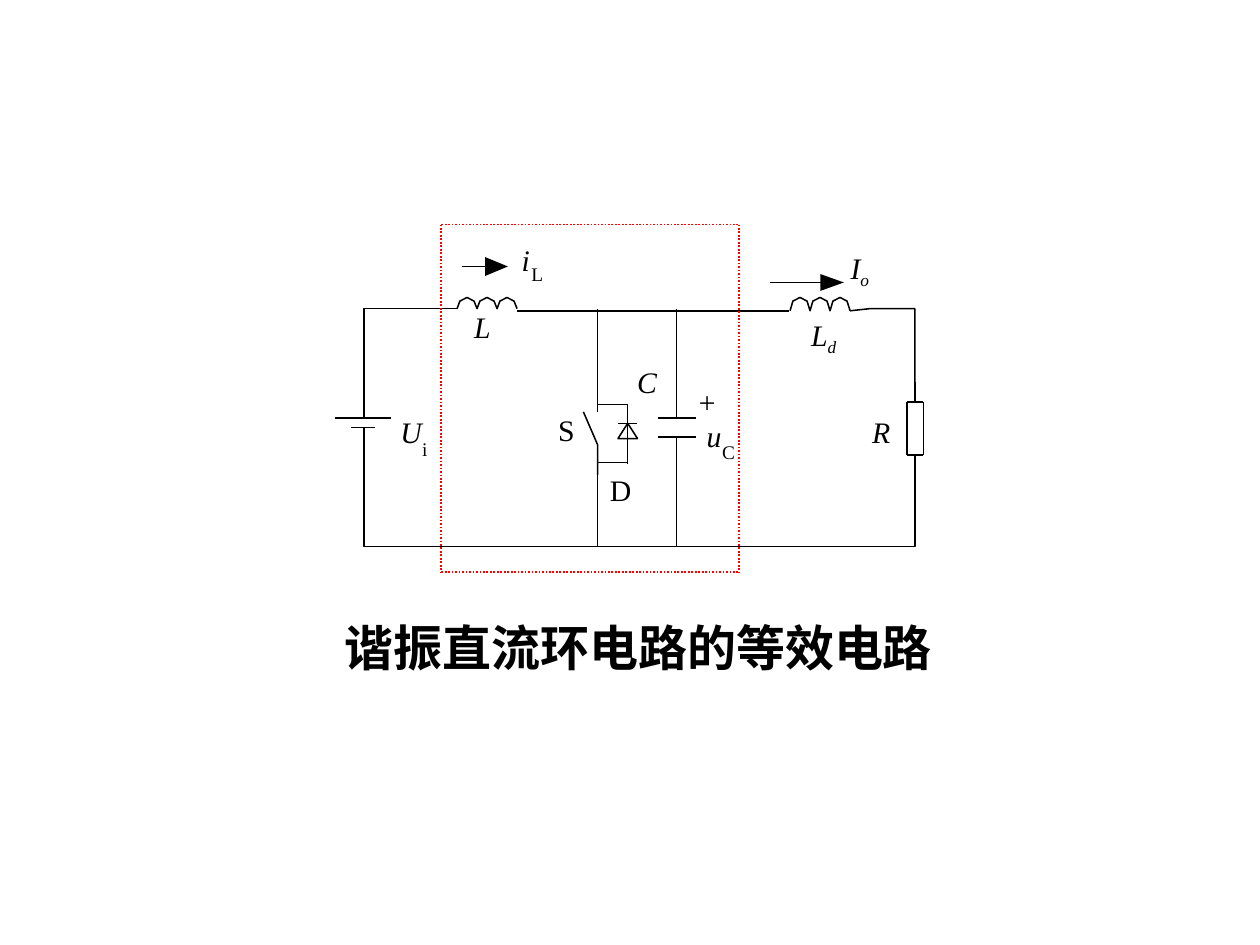
from pptx import Presentation
from pptx.dml.color import RGBColor
from pptx.enum.dml import MSO_LINE
from pptx.enum.shapes import MSO_CONNECTOR as CONN
from pptx.enum.text import MSO_ANCHOR as ANCHOR, MSO_AUTO_SIZE as AUTO, PP_ALIGN as ALIGN
from pptx.util import Pt
from lxml.etree import SubElement
from pptx.oxml.ns import qn

BLACK = RGBColor(0, 0, 0)
WHITE = RGBColor(255, 255, 255)
RED = RGBColor(255, 0, 0)
LINE_W = 0.88
SERIF = "Times New Roman"

# Circuit grid, in points
X_SOURCE, X_SWITCH, X_DIODE, X_CAP, X_LOAD = 208, 341.5, 358.7, 386.7, 522.8
Y_TOP, Y_BUS, Y_BOTTOM = 176.4, 177.6, 312.2
Y_ON, Y_OFF = 231.2, 264.2          # ends of the switch and diode branch
Y_PLATE, Y_CELL, Y_CAP = 239, 244.3, 249.7
COIL_W = 34.3
X_L, X_LD = 261.2, 451.5            # left ends of the two coils


def add_line(s, x1, y1, x2, y2, color=BLACK, width=LINE_W, dash=None):
    sp = s.shapes.add_connector(CONN.STRAIGHT, Pt(x1), Pt(y1), Pt(x2), Pt(y2))
    sp.line.color.rgb = color
    sp.line.width = Pt(width)
    if dash:
        sp.line.dash_style = dash
    SubElement(sp._element.spPr, qn("a:effectLst"))


def add_frame(s, left, top, right, bottom, **fmt):
    for y in (top, bottom):
        add_line(s, left, y, right, y, **fmt)
    for x in (left, right):
        add_line(s, x, top, x, bottom, **fmt)


def add_path(s, points, close=False, fill=None, line=BLACK):
    pts = [(Pt(x), Pt(y)) for x, y in points]
    builder = s.shapes.build_freeform(*pts[0])
    builder.add_line_segments(pts[1:], close=close)
    sp = builder.convert_to_shape()
    sp.shadow.inherit = False
    if fill is None:
        sp.fill.background()
    else:
        sp.fill.solid()
        sp.fill.fore_color.rgb = fill
    if line is None:
        sp.line.fill.background()
    else:
        sp.line.color.rgb = line
        sp.line.width = Pt(LINE_W)


def add_coil(s, x, base, top=170):
    turn = COIL_W / 3
    points = [(x, base)]
    for i in range(3):
        left = x + i * turn
        points += [(left + 1.6, 172.1), (left + 5.7, top),
                   (left + 9.7, 172.1), (left + turn, base)]
    add_path(s, points)


def add_arrow(s, x1, x2, y, head_w, head_h):
    base = x2 - head_w
    add_line(s, x1, y, base + 1, y)
    add_path(s, [(base, y - head_h / 2), (x2, y), (base, y + head_h / 2)],
             close=True, fill=BLACK, line=None)


def add_run(p, text, size=17, font=SERIF, bold=False, italic=False, baseline=None):
    r = p.add_run()
    r.text = text
    r.font.size, r.font.name = Pt(size), font
    r.font.bold, r.font.italic = bold, italic
    r.font.color.rgb = BLACK
    if baseline:
        r._r.get_or_add_rPr().set("baseline", str(baseline))


def add_label(s, text, x, y, w, sub=None, size=17, italic=False):
    h = 23 if sub else size * 1.19
    tf = s.shapes.add_textbox(Pt(x), Pt(y), Pt(w), Pt(h)).text_frame
    tf.margin_left = tf.margin_right = tf.margin_top = tf.margin_bottom = 0
    tf.word_wrap = False
    tf.auto_size = AUTO.SHAPE_TO_FIT_TEXT
    p = tf.paragraphs[0]
    add_run(p, text, size=size, italic=italic)
    if sub:
        add_run(p, sub, size=size, italic=italic, baseline=-25000)


def add_caption(s, text):
    sp = s.shapes.title
    sp.left, sp.top, sp.width, sp.height = Pt(189.8), Pt(349.2), Pt(368.6), Pt(41)
    tf = sp.text_frame
    tf.word_wrap = True
    tf.auto_size = AUTO.NONE
    tf.vertical_anchor = ANCHOR.TOP
    p = tf.paragraphs[0]
    p.alignment = ALIGN.LEFT
    add_run(p, text, size=28, font="Arial", bold=True)


def draw_wires(s):
    # Corners of the loop
    add_path(s, [(X_SOURCE, 203.8), (X_SOURCE, Y_TOP), (238.6, Y_TOP)])
    add_path(s, [(X_LD + COIL_W, Y_BUS), (496.8, Y_TOP),
                 (X_LOAD, Y_TOP), (X_LOAD, 218.2)])
    add_path(s, [(X_LOAD, 271.4), (X_LOAD, Y_BOTTOM),
                 (X_SOURCE, Y_BOTTOM), (X_SOURCE, 264.2)])

    # Top wires
    add_line(s, X_L, Y_TOP, 234, Y_TOP)
    add_line(s, X_L + COIL_W, Y_BUS, 450.7, Y_BUS)

    # Leads: x, start, end
    for x, y1, y2 in (
        (X_SOURCE, 203.8, 220.3), (X_SOURCE, 218.2, 226.1),
        (X_SOURCE, 223.2, Y_PLATE), (X_SOURCE, Y_CELL, 260.6),
        (X_SOURCE, 258.5, 266.4),
        (X_SWITCH, 218.2, 235.4), (X_SWITCH, Y_ON, Y_TOP),
        (X_SWITCH, 269.3, 291.6), (X_SWITCH, 285.8, Y_BOTTOM),
        (X_CAP, Y_PLATE, 218.2), (X_CAP, 220.3, Y_TOP),
        (X_CAP, Y_CAP, 271.4), (X_CAP, 269.3, Y_BOTTOM),
        (X_LOAD, 218.2, 229.8), (X_LOAD, 260, 271.4),
    ):
        add_line(s, x, y1, x, y2)


def draw_parts(s):
    # Source and capacitor plates
    for x, y, w in ((X_SOURCE - 0.6, Y_PLATE, 31.7), (X_SOURCE - 0.3, Y_CELL, 13.7),
                    (X_CAP, Y_PLATE, 21.6), (X_CAP, Y_CAP, 21.6)):
        add_line(s, x - w / 2, y, x + w / 2, y)

    # Switch
    add_path(s, [(333.4, 235.4), (X_SWITCH, 254.2), (X_SWITCH, 271.4)])

    # Antiparallel diode
    for y in (Y_ON, Y_OFF):
        add_line(s, X_DIODE, y, X_SWITCH, y)
    add_line(s, X_DIODE - 5.6, 241.9, X_DIODE + 5.6, 241.9)
    add_path(s, [(X_DIODE, 241.9), (X_DIODE - 5.6, 250.6), (X_DIODE + 5.6, 250.6)],
             close=True, fill=WHITE)
    add_line(s, X_DIODE, Y_ON, X_DIODE, 265)

    # Inductors, load resistor and current arrows
    add_coil(s, X_L, Y_TOP)
    add_coil(s, X_LD, Y_BUS)
    add_frame(s, X_LOAD - 4.5, 229.8, X_LOAD + 4.8, 260)
    add_arrow(s, 263.8, 290.2, 152.3, 13, 10.8)
    add_arrow(s, 440, 482.2, 161.4, 13.4, 9.6)


def draw_labels(s):
    for text, x, y, w, fmt in (
        ("L", 270.9, 176.5, 9.4, {"italic": True}),
        ("U", 228.8, 236.7, 12.2, {"italic": True}),
        ("i", 241.2, 249.8, 3, {"size": 11}),
        ("S", 319, 235.4, 9.4, {}),
        ("C", 364.1, 208.1, 11.5, {"italic": True}),
        ("D", 348.5, 269.5, 12.2, {}),
        ("L", 463.5, 180.9, 14.4, {"italic": True, "sub": "d"}),
        ("i", 298.1, 138.2, 5, {"italic": True}),
        ("L", 303.7, 149.8, 6.5, {"size": 11}),
        ("+", 398.2, 219.4, 11.5, {"italic": True}),
        ("u", 403.8, 239, 8.6, {"italic": True}),
        ("C", 412.6, 251.9, 7.2, {"size": 11}),
        ("I", 486, 142.6, 10.8, {"italic": True, "sub": "o"}),
        ("R", 498.4, 236.7, 10.8, {"italic": True}),
    ):
        add_label(s, text, x, y, w, **fmt)


def main():
    prs = Presentation()
    prs.slide_width, prs.slide_height = Pt(720), Pt(540)
    s = prs.slides.add_slide(prs.slide_layouts[5])
    add_caption(s, "谐振直流环电路的等效电路")
    draw_wires(s)
    draw_parts(s)
    draw_labels(s)
    # Dotted frame around the resonant link
    add_frame(s, 252.2, 128.3, 422.5, 326.8,
              color=RED, width=1, dash=MSO_LINE.ROUND_DOT)
    prs.save("out.pptx")


if __name__ == "__main__":
    main()
